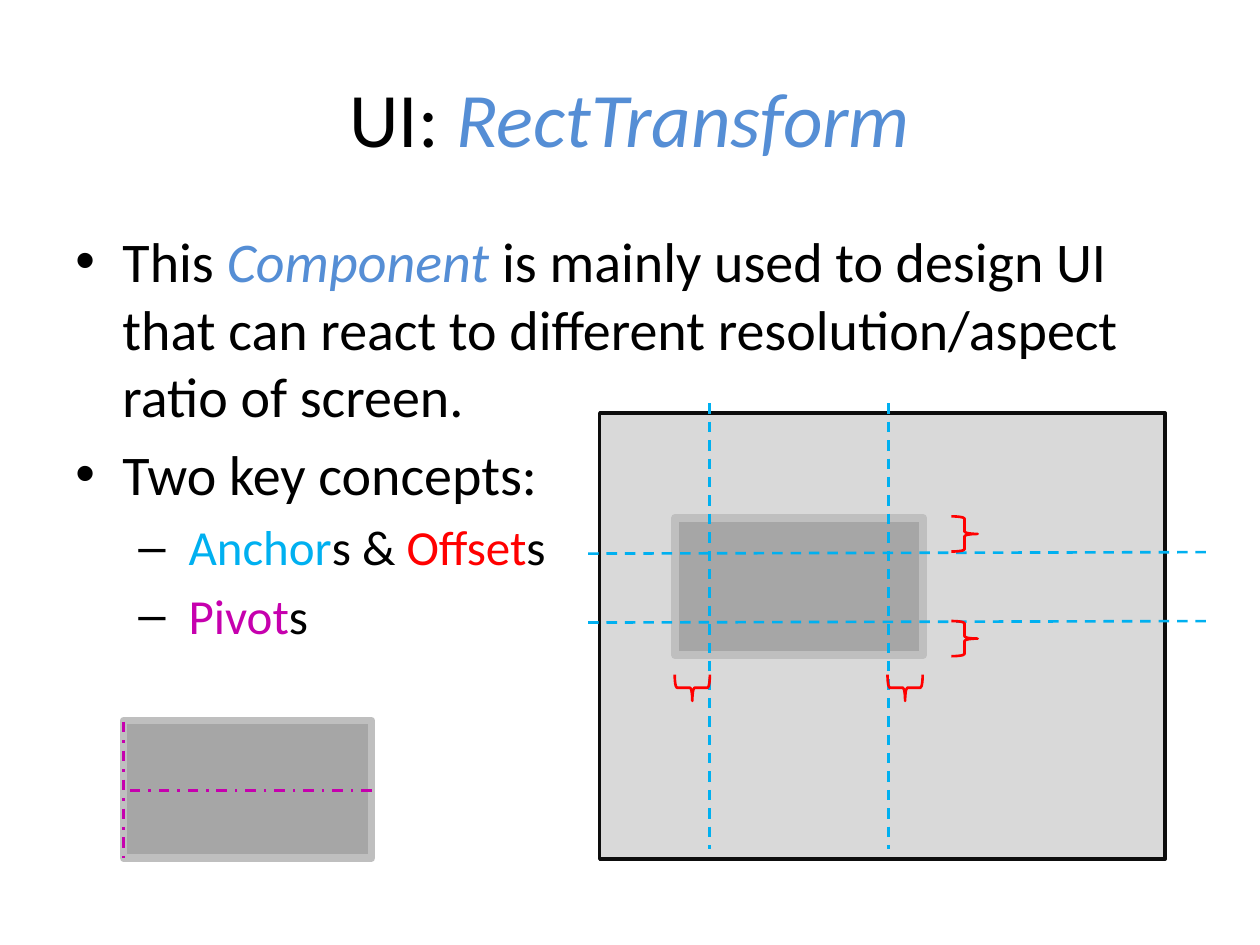
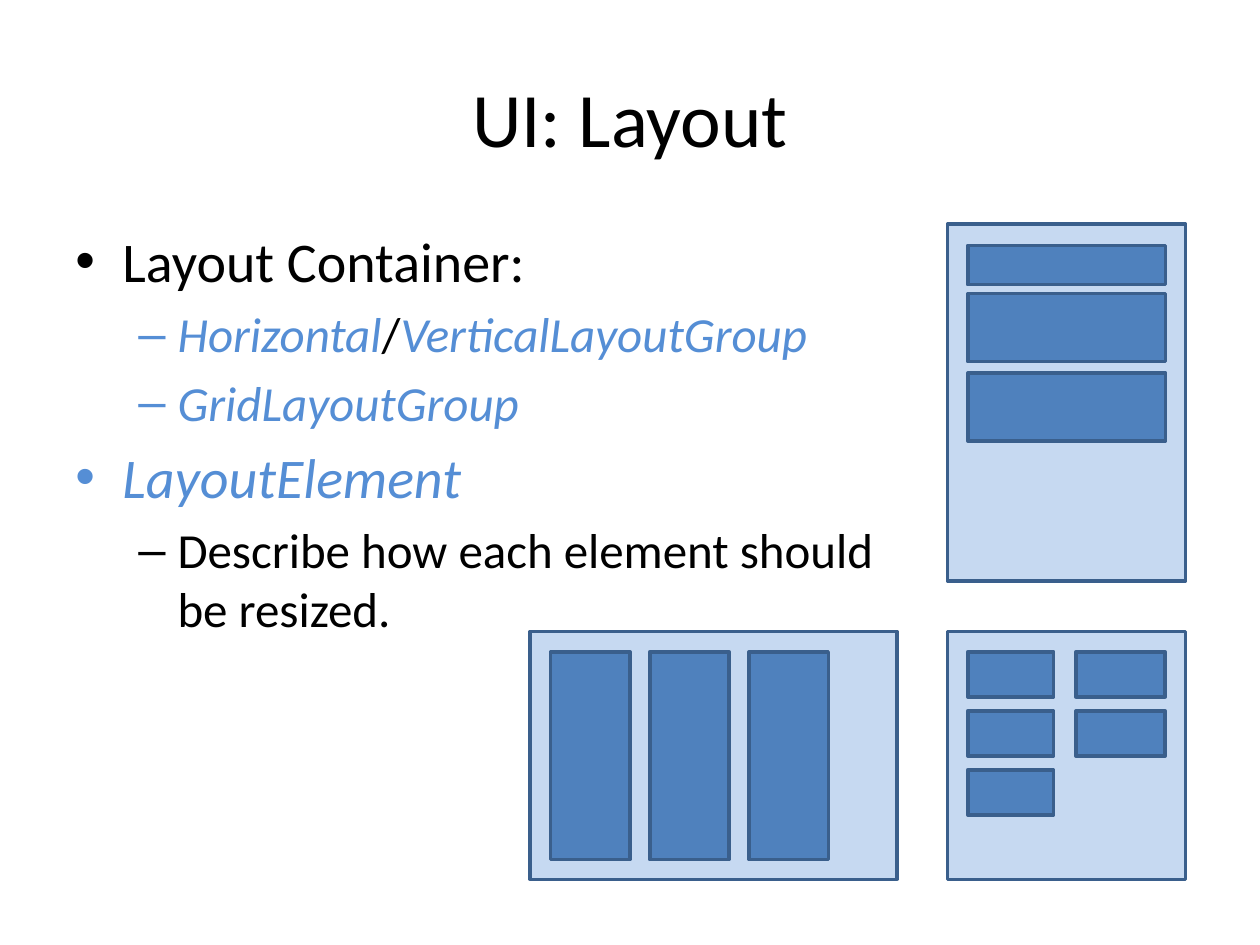
from lxml.etree import SubElement
from pptx import Presentation
from pptx.dml.color import RGBColor
from pptx.enum.dml import MSO_LINE as Dash
from pptx.enum.shapes import MSO_CONNECTOR as Connector, MSO_SHAPE as Shape
from pptx.enum.text import MSO_ANCHOR as Anchor, PP_ALIGN as Align
from pptx.oxml.ns import qn
from pptx.util import Cm, Pt

COLORS = {
    "text": "000000", "code": "558ED5",
    "anchor": "00B0F0", "offset": "FF0000", "pivot": "C600AE",
    "screen": "D9D9D9", "screen_edge": "0D0D0D",
    "widget": "A6A6A6", "widget_edge": "BFBFBF",
    "container": "C6D9F1", "element": "4F81BD", "edge": "3A5F8C",
}
FONT = "Calibri"
TITLE_BOX = (1.27, 0.76, 22.86, 3.18)
BODY_BOX = (1.27, 4.45, 22.86, 12.57)
TITLE_SIZE = 44
# Per level: bullet, size in points, left margin and hanging indent in cm
LEVELS = [("•", 32, 0.95, 0.95), ("–", 28, 2.06, 0.79)]


def rgb(name):
    return RGBColor.from_string(COLORS[name])


def add_run(paragraph, text, size=32, color="text", italic=False):
    run = paragraph.add_run()
    run.text = text
    run.font.name = FONT
    run.font.size = Pt(size)
    run.font.italic = italic
    run.font.color.rgb = rgb(color)


def add_runs(paragraph, parts, size):
    """Add plain strings or (text, colour) pairs; code names are italic."""
    for part in parts:
        text, color = (part, "text") if isinstance(part, str) else part
        for number, line in enumerate(text.split("\n")):
            if number:
                paragraph.add_line_break()
            add_run(paragraph, line, size=size, color=color, italic=color == "code")


def set_bullet(paragraph, character, margin, hanging):
    properties = paragraph._p.get_or_add_pPr()
    properties.set("marL", str(Cm(margin)))
    properties.set("indent", str(-Cm(hanging)))
    SubElement(properties, qn("a:buFont")).set("typeface", "Arial")
    SubElement(properties, qn("a:buChar")).set("char", character)


class Deck:
    def __init__(self):
        self.presentation = Presentation()
        self.presentation.slide_width = Cm(25.4)
        self.presentation.slide_height = Cm(19.05)
        self.slide = None

    def new_slide(self, *title):
        layout = self.presentation.slide_layouts[6]
        self.slide = self.presentation.slides.add_slide(layout)
        frame = self.text_frame(TITLE_BOX)
        frame.vertical_anchor = Anchor.MIDDLE
        paragraph = frame.paragraphs[0]
        paragraph.alignment = Align.CENTER
        add_runs(paragraph, title, TITLE_SIZE)

    def text_frame(self, box):
        frame = self.slide.shapes.add_textbox(*map(Cm, box)).text_frame
        frame.word_wrap = True
        return frame

    def bullets(self, *items):
        """Fill the body with items of the form (level, part, part, ...)."""
        frame = self.text_frame(BODY_BOX)
        for number, (level, *parts) in enumerate(items):
            paragraph = frame.add_paragraph() if number else frame.paragraphs[0]
            character, size, margin, hanging = LEVELS[level]
            paragraph.level = level
            paragraph.space_before = Pt(size * 0.2)
            set_bullet(paragraph, character, margin, hanging)
            add_runs(paragraph, parts, size)

    def shape(self, kind, box, fill, edge, weight, rotation=0):
        shape = self.slide.shapes.add_shape(kind, *map(Cm, box))
        shape.shadow.inherit = False
        shape.rotation = rotation
        if fill:
            shape.fill.solid()
            shape.fill.fore_color.rgb = rgb(fill)
        else:
            shape.fill.background()
        shape.line.color.rgb = rgb(edge)
        shape.line.width = Pt(weight)

    def widget(self, left, top):
        self.shape(Shape.RECTANGLE, (left, top, 5, 2.77), "widget", "widget_edge", 4.25)

    def layout_box(self, *box, fill="element"):
        self.shape(Shape.RECTANGLE, box, fill, "edge", 2)

    def offset_brace(self, left, top, rotation=0):
        self.shape(Shape.RIGHT_BRACE, (left, top, 0.53, 0.71), None, "offset", 1.5, rotation)

    def dashed_line(self, start, end, color, dash):
        ends = map(Cm, (*start, *end))
        connector = self.slide.shapes.add_connector(Connector.STRAIGHT, *ends)
        connector.line.color.rgb = rgb(color)
        connector.line.width = Pt(1.5)
        connector.line.dash_style = dash
        SubElement(connector._element.spPr, qn("a:effectLst"))


def build_rect_transform(deck):
    deck.new_slide("UI: ", ("RectTransform", "code"))
    deck.bullets(
        (0, "This ", ("Component", "code"),
         " is mainly used to design UI that can react to different "
         "resolution/aspect ratio of screen."),
        (0, "Two key concepts:"),
        (1, " ", ("Anchor", "anchor"), "s & ", ("Offset", "offset"), "s"),
        (1, " ", ("Pivot", "pivot"), "s"),
    )
    deck.shape(Shape.RECTANGLE, (12.09, 8.33, 11.4, 8.99), "screen", "screen_edge", 2)
    deck.widget(13.61, 10.44)
    for x in (14.3, 17.91):
        deck.dashed_line((x, 8.13), (x, 17.12), "anchor", Dash.DASH)
    for y in (11.13, 12.52):
        deck.dashed_line((24.31, y), (11.71, y + 0.03), "anchor", Dash.DASH)
    for top in (10.41, 12.52):
        deck.offset_brace(19.18, top)
    for left in (13.69, 17.98):
        deck.offset_brace(left, 13.51, rotation=90)

    deck.widget(2.49, 14.53)
    deck.dashed_line((2.49, 14.55), (2.49, 17.32), "pivot", Dash.DASH_DOT)
    deck.dashed_line((7.49, 15.93), (2.49, 15.93), "pivot", Dash.DASH_DOT)


def build_layout(deck):
    deck.new_slide("UI: Layout")
    deck.bullets(
        (0, "Layout Container:"),
        (1, ("Horizontal", "code"), "/", ("VerticalLayoutGroup", "code")),
        (1, ("GridLayoutGroup", "code")),
        (0, ("LayoutElement", "code")),
        (1, "Describe how each element should \nbe resized."),
    )
    right_left, lower_top, padding = 19.1, 12.73, 0.41
    inner_left, inner_top = right_left + padding, lower_top + padding

    deck.layout_box(right_left, 4.52, 4.8, 7.19, fill="container")
    for top, height in ((4.95, 0.79), (5.92, 1.37), (7.52, 1.37)):
        deck.layout_box(inner_left, top, 3.99, height)

    deck.layout_box(10.69, lower_top, 7.39, 5, fill="container")
    for column in range(3):
        deck.layout_box(11.1 + 2 * column, inner_top, 1.6, 4.19)

    deck.layout_box(right_left, lower_top, 4.8, 5, fill="container")
    grid_columns = ((inner_left, 1.73), (21.69, 1.8))
    for cell in range(5):
        row, column = divmod(cell, 2)
        left, width = grid_columns[column]
        deck.layout_box(left, inner_top + 1.19 * row, width, 0.91)


def main():
    deck = Deck()
    build_rect_transform(deck)
    build_layout(deck)
    deck.presentation.save("out.pptx")


if __name__ == "__main__":
    main()
